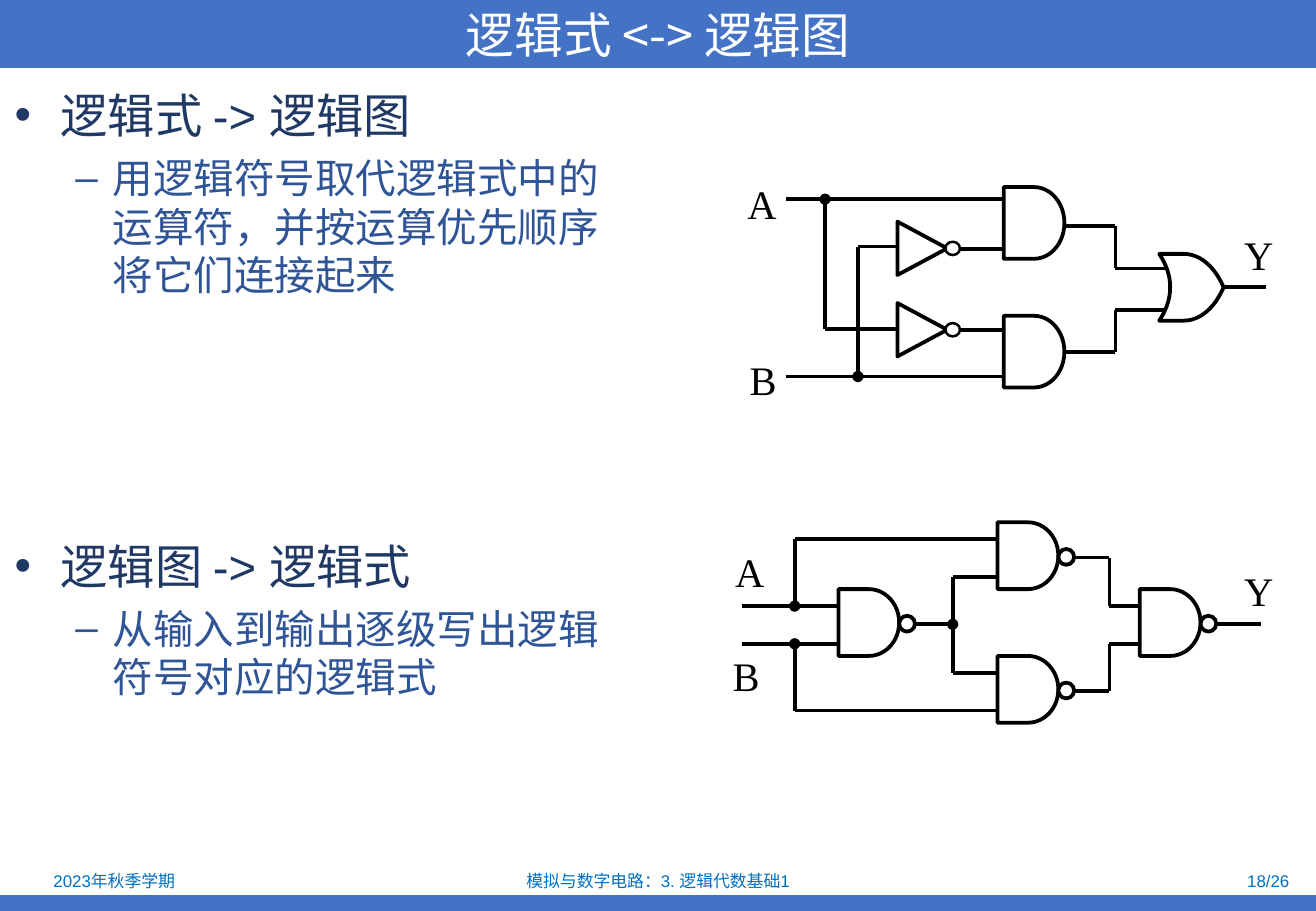
from lxml import etree
from pptx import Presentation
from pptx.dml.color import RGBColor
from pptx.enum.shapes import MSO_CONNECTOR, MSO_SHAPE
from pptx.enum.text import MSO_ANCHOR, PP_ALIGN
from pptx.oxml.ns import qn
from pptx.util import Inches, Pt

COLORS = {"band": "4472C4", "footer": "0070C0", "heading": "203864",
          "detail": "2F5597", "ink": "000000", "paper": "FFFFFF"}
COLS, ROWS = 108.3, 75  # grid cells of a tenth of an inch
GATE_LINE = 2.25


def cells(count):
    return Inches(count / 10)


def color(name):
    return RGBColor.from_string(COLORS[name])


def style_paragraph(paragraph, text, size, tint, font, align):
    paragraph.text = text
    paragraph.alignment = align
    paragraph.font.size = Pt(size)
    paragraph.font.name = font
    paragraph.font.color.rgb = color(tint)


def prepare_frame(shape, anchor):
    frame = shape.text_frame
    frame.word_wrap = True
    frame.margin_left = frame.margin_right = 0
    frame.margin_top = frame.margin_bottom = 0
    frame.vertical_anchor = anchor
    return frame


def add_text(slide, box, text, size, tint, font="Arial", align=PP_ALIGN.CENTER):
    holder = slide.shapes.add_textbox(*map(cells, box))
    frame = prepare_frame(holder, MSO_ANCHOR.MIDDLE)
    style_paragraph(frame.paragraphs[0], text, size, tint, font, align)


def add_band(slide, top, height):
    band = slide.shapes.add_shape(MSO_SHAPE.RECTANGLE, 0, cells(top), cells(COLS), cells(height))
    band.shadow.inherit = False
    band.fill.solid()
    band.fill.fore_color.rgb = color("band")
    band.line.fill.background()
    return band


def add_title(slide, text):
    frame = prepare_frame(add_band(slide, 0, 5.6), MSO_ANCHOR.MIDDLE)
    style_paragraph(frame.paragraphs[0], text, 28.8, "paper", "Noto Sans CJK SC", PP_ALIGN.CENTER)


def add_footer(slide, term, course, page):
    add_band(slide, ROWS - 1.3, 1.3)
    for left, width, text, align in ((0.2, 18.4, term, PP_ALIGN.CENTER),
                                     (37, 34.3, course, PP_ALIGN.CENTER),
                                     (81.8, 24.3, page, PP_ALIGN.RIGHT)):
        add_text(slide, (left, 71.4, width, 2.2), text, 10, "footer", align=align)


def add_topic(slide, box, heading, detail):
    """A bulleted heading with one dashed detail below it."""
    holder = slide.shapes.add_textbox(*map(cells, box))
    frame = prepare_frame(holder, MSO_ANCHOR.TOP)
    levels = ((heading, "•", 3.8, 3.8, 28, "heading"),
              (detail, "–", 8.1, 3.1, 24, "detail"))
    for level, (text, mark, margin, hang, size, tint) in enumerate(levels):
        paragraph = frame.add_paragraph() if level else frame.paragraphs[0]
        properties = paragraph._p.get_or_add_pPr()
        properties.set("marL", str(cells(margin)))
        properties.set("indent", str(-cells(hang)))
        etree.SubElement(properties, qn("a:buFont")).set("typeface", "Arial")
        etree.SubElement(properties, qn("a:buChar")).set("char", mark)
        style_paragraph(paragraph, text, size, tint, "Arial", PP_ALIGN.LEFT)
        if level:
            paragraph.space_before = Pt(6)


class Circuit:
    """Logic symbols placed in cells from the left top corner of a box."""

    def __init__(self, slide, left, top):
        self.slide, self.left, self.top = slide, left, top

    def ink(self, shape, width=GATE_LINE):
        shape.line.color.rgb = color("ink")
        shape.line.width = Pt(width)

    def wire(self, *points, dot=False, width=GATE_LINE):
        """Straight segments through the points; dot marks a junction at the end."""
        for start, end in zip(points, points[1:]):
            segment = self.slide.shapes.add_connector(
                MSO_CONNECTOR.STRAIGHT,
                cells(self.left + start[0]), cells(self.top + start[1]),
                cells(self.left + end[0]), cells(self.top + end[1]))
            self.ink(segment, width)
            etree.SubElement(segment._element.spPr, qn("a:effectLst"))
        if dot:
            line = segment.line._get_or_add_ln()
            etree.SubElement(line, qn("a:tailEnd")).set("type", "oval")

    def symbol(self, kind, x, y, width, height, line=GATE_LINE):
        shape = self.slide.shapes.add_shape(
            kind, cells(self.left + x), cells(self.top + y), cells(width), cells(height))
        shape.shadow.inherit = False
        shape.fill.solid()
        shape.fill.fore_color.rgb = color("paper")
        self.ink(shape, line)
        return shape

    def and_gate(self, x, y, height=5.9):
        self.symbol(MSO_SHAPE.FLOWCHART_DELAY, x, y, 5, height)

    def nand_gate(self, x, y):
        self.and_gate(x, y, 5.5)
        self.symbol(MSO_SHAPE.OVAL, x + 5, y + 2.2, 1.3, 1.3)

    def not_gate(self, x, y):
        self.symbol(MSO_SHAPE.ISOSCELES_TRIANGLE, x, y, 4.4, 4.1).rotation = 90
        self.symbol(MSO_SHAPE.OVAL, x + 4.1, y + 1.5, 1.2, 1.1, 1.5)

    def or_gate(self, x, y):
        """x, y is the upper left corner of the outline."""
        half = 2.75
        front = curve((2, 0), (3.4, 0), (4.6, 1.1), (5.3, half))
        back = curve((0, 0), (0.6, 0.9), (0.9, 1.8), (0.9, half))
        mirror = [(px, 2 * half - py) for px, py in reversed(back + front[:-1])]
        upper, lower = mirror[:len(front) - 1], mirror[len(front) - 1:]
        outline = front + upper + lower[::-1] + back[::-1]
        points = [(cells(self.left + x + px), cells(self.top + y + py)) for px, py in outline]
        builder = self.slide.shapes.build_freeform(*points[0], scale=1.0)
        builder.add_line_segments(points[1:], close=True)
        gate = builder.convert_to_shape()
        gate.shadow.inherit = False
        gate.fill.background()
        self.ink(gate)

    def label(self, text, x, y):
        add_text(self.slide, (self.left + x - 2, self.top + y - 2, 4, 4),
                 text, 24, "ink", "Times New Roman")


def curve(start, pull_start, pull_end, end, steps=12):
    """Points along a cubic Bezier curve."""
    points = []
    for step in range(steps + 1):
        t = step / steps
        weights = ((1 - t) ** 3, 3 * t * (1 - t) ** 2, 3 * t * t * (1 - t), t ** 3)
        points.append(tuple(sum(w * p[axis] for w, p in zip(
            weights, (start, pull_start, pull_end, end))) for axis in (0, 1)))
    return points


def add_xor_from_and_or(slide, left, top):
    circuit = Circuit(slide, left, top)
    circuit.wire((4.7, 3.4), (23.4, 3.4))
    circuit.wire((4.7, 18), (23.4, 18))
    circuit.wire((13.8, 7.3), (10.6, 7.3), (10.6, 18), dot=True)
    circuit.wire((13.8, 14.1), (7.9, 14.1), (7.9, 3.4), dot=True)
    for row, gate_row, middle, input_row in ((7.5, 2.4, 5.6, 9.1), (14.2, 13, 16, 12.5)):
        circuit.wire((19, row), (23.2, row))
        circuit.wire((27.5, middle), (31.8, middle), (31.8, input_row), (35.9, input_row))
        circuit.and_gate(22.6, gate_row)
        circuit.not_gate(13.7, row - 2.1)
    circuit.wire((40.6, 10.6), (44.2, 10.6))
    circuit.or_gate(35.4, 7.9)
    circuit.wire((33.4, 7.1), (33.4, 7.1), width=1)
    for text, x, y in (("A", 2.7, 3.7), ("B", 2.8, 18.2), ("Y", 43.6, 7.9)):
        circuit.label(text, x, y)


def add_xor_from_nand(slide, left, top):
    circuit = Circuit(slide, left, top)
    # input row, outer row, inner row, output row of the upper and lower halves
    for row, outer, inner, output in ((6.9, 1.4, 4.5, 2.9), (10, 15.5, 12.4, 13.9)):
        circuit.wire((1.1, row), (9.1, row))
        circuit.wire((22.2, outer), (5.4, outer), (5.4, row), dot=True)
        circuit.wire((18.4, 8.4), (18.4, inner), (22.2, inner))
        circuit.wire((28.3, output), (31.3, output), (31.3, row), (33.8, row))
    circuit.wire((15.3, 8.4), (18.4, 8.4), dot=True)
    circuit.wire((40.1, 8.4), (43.8, 8.4))
    for x, y in ((9, 5.5), (22.1, 0), (22.1, 11), (33.8, 5.5)):
        circuit.nand_gate(x, y)
    for text, x, y in (("A", 1.7, 4), ("B", 1.4, 12.6), ("Y", 43.6, 5.6)):
        circuit.label(text, x, y)


def main():
    deck = Presentation()
    deck.slide_width, deck.slide_height = cells(COLS), cells(ROWS)
    slide = deck.slides.add_slide(deck.slide_layouts[6])
    add_title(slide, "逻辑式 <-> 逻辑图")
    add_topic(slide, (1.2, 7.1, 48.6, 18), "逻辑式 -> 逻辑图",
              "用逻辑符号取代逻辑式中的运算符，并按运算优先顺序将它们连接起来")
    add_topic(slide, (1.2, 44.2, 48.6, 14), "逻辑图 -> 逻辑式",
              "从输入到输出逐级写出逻辑符号对应的逻辑式")
    add_xor_from_and_or(slide, 60, 13)
    add_xor_from_nand(slide, 60, 43)
    add_footer(slide, "2023年秋季学期", "模拟与数字电路：3. 逻辑代数基础1", "18/26")
    deck.save("out.pptx")


if __name__ == "__main__":
    main()
